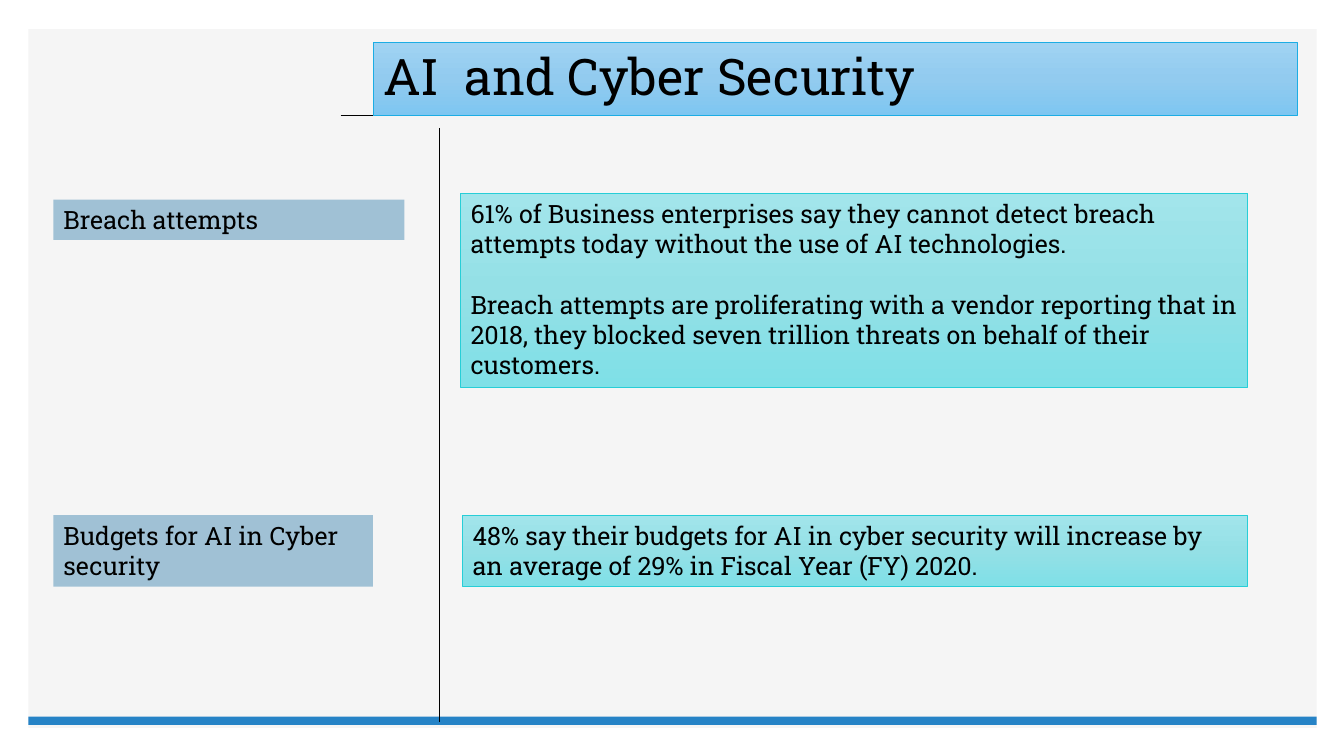
from pptx import Presentation
from pptx.dml.color import RGBColor
from pptx.enum.shapes import MSO_CONNECTOR, MSO_SHAPE
from pptx.enum.text import MSO_ANCHOR, MSO_AUTO_SIZE, PP_ALIGN
from pptx.oxml.ns import qn
from pptx.util import Pt
from lxml import etree

RECT, LINE = MSO_SHAPE.RECTANGLE, MSO_CONNECTOR.STRAIGHT
LEFT, MIDDLE, TOP = PP_ALIGN.LEFT, MSO_ANCHOR.MIDDLE, MSO_ANCHOR.TOP
GROW, FIXED = MSO_AUTO_SIZE.SHAPE_TO_FIT_TEXT, MSO_AUTO_SIZE.NONE

# Content
TITLE = "AI  and Cyber Security"
ROWS = [
    {
        "label": "Breach attempts",
        "facts": [
            "61% of Business enterprises say they cannot detect breach "
            "attempts today without the use of AI technologies.",
            "Breach attempts are proliferating with a vendor reporting that "
            "in 2018, they blocked seven trillion threats on behalf of their "
            "customers.",
        ],
        "tag": (142.6, 250.6, 28.8),    # top, width, height
        "box": (329, 138.2, 562.3, 138.2),  # left, top, width, height
    },
    {
        "label": "Budgets for AI in Cyber security",
        "facts": [
            "48% say their budgets for AI in cyber security will increase by "
            "an average of 29% in Fiscal Year (FY) 2020.",
        ],
        "tag": (367.9, 228.2, 51.1),
        "box": (330.5, 367.9, 560.2, 51.1),
    },
]

THEME = {
    "font": "Roboto Slab",
    "ink": "000000",
    "panel": "F5F5F5",
    "bar": "2683C6",
    "tag": "A0C1D5",
    "head": ("A0D3F2", "92CBEF", "7EC6F1"),
    "head_edge": "1CADE4",
    "fact": ("A2E5EB", "94E0E6", "7FE0E7"),
    "fact_edge": "27CED7",
    "title": 36,
    "body": 18,
}

# Layout
WIDE, HIGH = 960, 540
EDGE, PANEL_TOP, PANEL_W, PANEL_H = 20.2, 20.9, 920.2, 499
BAR_TOP, BAR_H = 511.9, 5.8
HEAD = (266.4, 30.2, 660.2, 52.4)
RULE_X, RULE_Y = 243.4, HEAD[1] + HEAD[3]
SPLIT_X, SPLIT_TOP, SPLIT_END = 313.9, 91.4, 515.5
TAG_X = 38.2
GAP = 21.6


def pts(*nums):
    return [Pt(n) for n in nums]


def place(shape, left, top, width, height):
    shape.left, shape.top, shape.width, shape.height = pts(
        left, top, width, height)


def paint(shape, fill, edge=None):
    """Fill with one colour, or a downward blend of evenly spaced colours."""
    if isinstance(fill, str):
        shape.fill.solid()
        shape.fill.fore_color.rgb = RGBColor.from_string(fill)
    else:
        shape.fill.gradient()
        shape.fill.gradient_angle = 270
        stops = shape.element.spPr.find(".//" + qn("a:gsLst"))
        for stop in list(stops):
            stops.remove(stop)
        for i, color in enumerate(fill):
            spot = str(100000 * i // (len(fill) - 1))
            stop = etree.SubElement(stops, qn("a:gs"), pos=spot)
            etree.SubElement(stop, qn("a:srgbClr"), val=color)
    if edge:
        shape.line.color.rgb = RGBColor.from_string(edge)
        shape.line.width = Pt(0.5)
    else:
        shape.line.fill.background()


def write(shape, lines, size=THEME["body"], anchor=TOP, fit=GROW,
          spacing=1.0, gap=0):
    frame = shape.text_frame
    frame.word_wrap = True
    frame.auto_size = fit
    frame.vertical_anchor = anchor
    for i, line in enumerate(lines):
        para = frame.add_paragraph() if i else frame.paragraphs[0]
        para.alignment = LEFT
        para.line_spacing = spacing
        para.space_before = Pt(gap if i else 0)
        run = para.add_run()
        run.text = line
        run.font.name = THEME["font"]
        run.font.size = Pt(size)
        run.font.color.rgb = RGBColor.from_string(THEME["ink"])


def block(slide, fill, *spot):
    shape = slide.shapes.add_shape(RECT, *pts(*spot))
    shape.shadow.inherit = False
    paint(shape, fill)


def rule(slide, width, *ends):
    line = slide.shapes.add_connector(LINE, *pts(*ends))
    line.line.color.rgb = RGBColor.from_string(THEME["ink"])
    line.line.width = Pt(width)
    etree.SubElement(line.element.spPr, qn("a:effectLst"))


def card(slide, lines, fill, spot, edge=None):
    box = slide.shapes.add_textbox(*pts(*spot))
    paint(box, fill, edge)
    write(box, lines, gap=GAP)


def main():
    deck = Presentation()
    deck.slide_width, deck.slide_height = pts(WIDE, HIGH)
    slide = deck.slides.add_slide(deck.slide_layouts[5])

    # Backdrop
    block(slide, THEME["panel"], EDGE, PANEL_TOP, PANEL_W, PANEL_H)
    rule(slide, 1, RULE_X, RULE_Y, HEAD[0] + HEAD[2], RULE_Y)
    block(slide, THEME["bar"], EDGE, BAR_TOP, PANEL_W, BAR_H)

    # Title, raised above the backdrop
    title = slide.shapes.title
    title.element.getparent().append(title.element)
    place(title, *HEAD)
    paint(title, THEME["head"], THEME["head_edge"])
    write(title, [TITLE], size=THEME["title"], anchor=MIDDLE, fit=FIXED,
          spacing=0.9)

    # Divider and rows
    rule(slide, 0.5, SPLIT_X, SPLIT_TOP, SPLIT_X, SPLIT_END)
    for row in ROWS:
        card(slide, [row["label"]], THEME["tag"], (TAG_X, *row["tag"]))
        card(slide, row["facts"], THEME["fact"], row["box"],
             edge=THEME["fact_edge"])

    deck.save("out.pptx")


if __name__ == "__main__":
    main()
